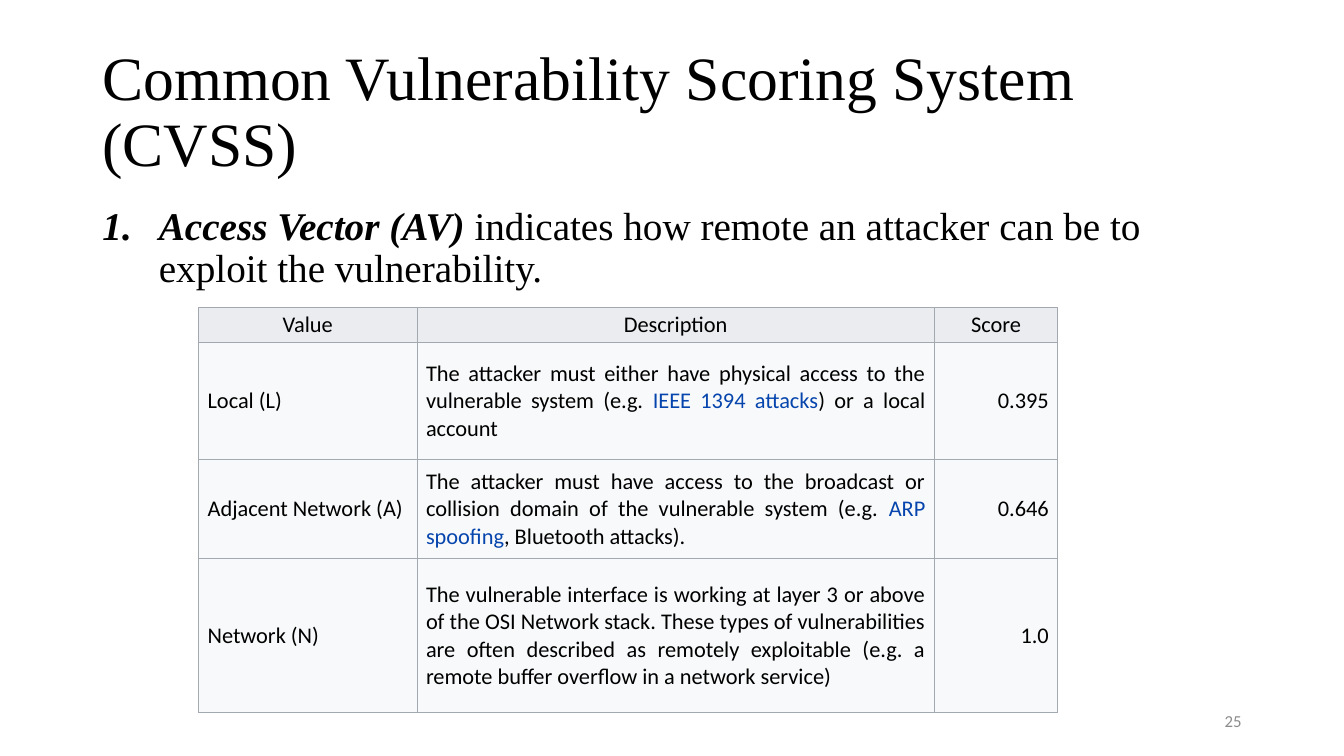
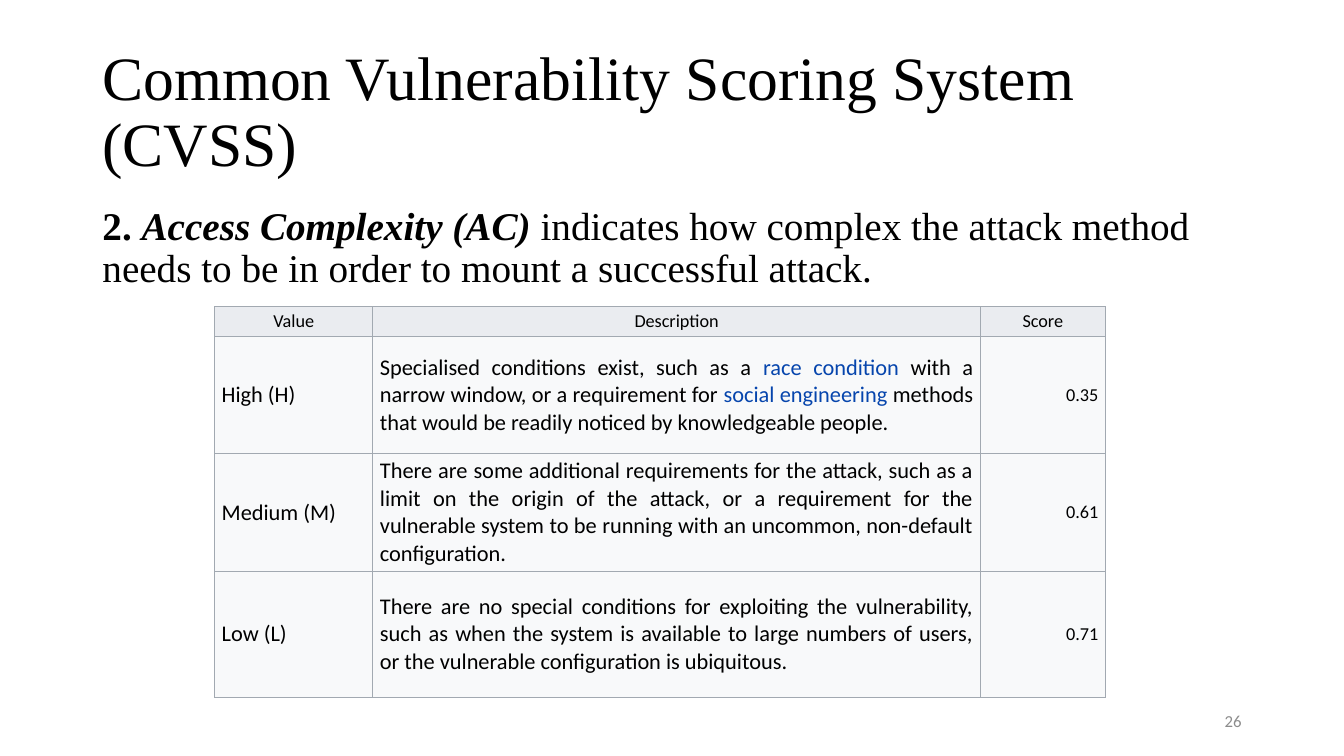
from dataclasses import dataclass

from lxml.etree import SubElement
from pptx import Presentation
from pptx.dml.color import RGBColor
from pptx.enum.text import MSO_ANCHOR as Anchor, MSO_AUTO_SIZE as AutoSize, PP_ALIGN as Align
from pptx.oxml.ns import qn
from pptx.util import Inches, Pt

COLORS = {
    "text": "000000",
    "link": "0645AD",
    "number": "8C8C8C",
    "header": "EAECF0",
    "cell": "F8F9FA",
    "border": "A2A9B1",
}
SERIF, SANS = "Times New Roman", "Calibri"
TITLE = "Common Vulnerability Scoring System (CVSS)"
HEADINGS = ("Value", "Description", "Score")
COLUMN_ALIGNS = (Align.LEFT, Align.JUSTIFY, Align.RIGHT)

# Square grid: 160 columns by 90 rows
GRID_ROWS = 90
SLIDE_WIDTH, SLIDE_HEIGHT = Inches(40 / 3), Inches(7.5)
UNIT = SLIDE_HEIGHT / GRID_ROWS
TITLE_AREA = (11, 4.8, 138, 17.4)
BODY_AREA = (11, 24, 138, 57.1)
NUMBER_AREA = (113, 83.4, 36, 4.8)


@dataclass(frozen=True)
class Span:
    text: str
    color: str = "text"
    bold: bool = False
    italic: bool = False


@dataclass(frozen=True)
class Level:
    value: str
    description: tuple[Span, ...]
    score: str


@dataclass(frozen=True)
class ScoreTable:
    left: float
    top: float
    columns: tuple[float, ...]
    rows: tuple[float, ...]
    side_margin: float
    small_size: int  # headings and scores
    levels: tuple[Level, ...]


@dataclass(frozen=True)
class Metric:
    number: int
    numbered: bool
    definition: tuple[Span, ...]
    scores: ScoreTable


METRICS = (
    Metric(
        25, True,
        (Span("Access Vector (AV) ", bold=True, italic=True),
         Span("indicates how remote an attacker can be to exploit the vulnerability.")),
        ScoreTable(
            23.64, 36.6, (26, 61.6, 14.7), (3.72, 13.92, 11.76, 18.36), 0.09, 16,
            (Level("Local (L)", (
                Span("The attacker must either have physical access to the vulnerable system (e.g. "),
                Span("IEEE 1394 attacks", "link"),
                Span(") or a local account")), "0.395"),
             Level("Adjacent Network (A)", (
                 Span("The attacker must have access to the broadcast or collision domain "
                      "of the vulnerable system (e.g. "),
                 Span("ARP spoofing", "link"),
                 Span(", Bluetooth attacks).")), "0.646"),
             Level("Network (N)", (
                 Span("The vulnerable interface is working at layer 3 or above of the OSI Network "
                      "stack. These types of vulnerabilities are often described as remotely "
                      "exploitable (e.g. a remote buffer overflow in a network service)"),), "1.0")),
        ),
    ),
    Metric(
        26, False,
        (Span("2. ", bold=True),
         Span("Access Complexity (AC) ", bold=True, italic=True),
         Span("indicates how complex the attack method needs to be in order to mount "
              "a successful attack.")),
        ScoreTable(
            25.56, 36.48, (18.84, 72.3, 14.9), (3.6, 13.92, 13.92, 15), 0.07, 13,
            (Level("High (H)", (
                Span("Specialised conditions exist, such as a "),
                Span("race condition ", "link"),
                Span("with a narrow window, or a requirement for "),
                Span("social engineering ", "link"),
                Span("methods that would be readily noticed by knowledgeable people.")), "0.35"),
             Level("Medium (M)", (
                 Span("There are some additional requirements for the attack, such as a limit on "
                      "the origin of the attack, or a requirement for the vulnerable system to be "
                      "running with an uncommon, non-default configuration."),), "0.61"),
             Level("Low (L)", (
                 Span("There are no special conditions for exploiting the vulnerability, such as "
                      "when the system is available to large numbers of users, or the vulnerable "
                      "configuration is ubiquitous."),), "0.71")),
        ),
    ),
)


def grid(*lengths: float) -> list[int]:
    return [round(length * UNIT) for length in lengths]


def write(paragraph, spans: tuple[Span, ...], font: str, size: int, align: Align) -> None:
    paragraph.alignment = align
    for span in spans:
        run = paragraph.add_run()
        run.text = span.text
        run.font.name, run.font.size = font, Pt(size)
        run.font.bold, run.font.italic = span.bold, span.italic
        run.font.color.rgb = RGBColor.from_string(COLORS[span.color])


def fill_placeholder(holder, area: tuple[float, ...], anchor: Anchor):
    holder.left, holder.top, holder.width, holder.height = grid(*area)
    frame = holder.text_frame
    frame.auto_size = AutoSize.NONE
    frame.vertical_anchor = anchor
    paragraph = frame.paragraphs[0]
    paragraph.line_spacing = 0.9
    paragraph.space_before = Pt(0)
    return paragraph


def set_numbering(paragraph, numbered: bool) -> None:
    properties = paragraph._p.get_or_add_pPr()
    indent = Inches(0.56) if numbered else 0
    properties.set("marL", str(indent))
    properties.set("indent", str(-indent))
    if numbered:
        SubElement(properties, qn("a:buFont"), typeface="+mj-lt")
        SubElement(properties, qn("a:buAutoNum"), type="arabicPeriod")
    else:
        SubElement(properties, qn("a:buNone"))


def add_borders(cell) -> None:
    properties = cell._tc.get_or_add_tcPr()
    for side in ("lnL", "lnR", "lnT", "lnB"):
        line = SubElement(properties, qn(f"a:{side}"), w=str(Pt(0.75)))
        SubElement(SubElement(line, qn("a:solidFill")), qn("a:srgbClr"), val=COLORS["border"])


def draw_scores(slide, scores: ScoreTable) -> None:
    area = grid(scores.left, scores.top, sum(scores.columns), sum(scores.rows))
    table = slide.shapes.add_table(len(scores.rows), len(scores.columns), *area).table
    table.first_row = table.horz_banding = False
    for column, width in zip(table.columns, grid(*scores.columns)):
        column.width = width
    for row, height in zip(table.rows, grid(*scores.rows)):
        row.height = height

    contents = [tuple((Span(heading),) for heading in HEADINGS)]
    contents += [((Span(level.value),), level.description, (Span(level.score),))
                 for level in scores.levels]
    for r, row_content in enumerate(contents):
        is_header = r == 0
        for c, spans in enumerate(row_content):
            cell = table.cell(r, c)
            add_borders(cell)
            cell.fill.solid()
            cell.fill.fore_color.rgb = RGBColor.from_string(COLORS["header" if is_header else "cell"])
            cell.vertical_anchor = Anchor.MIDDLE
            cell.margin_left = cell.margin_right = Inches(scores.side_margin)
            cell.margin_top = cell.margin_bottom = Inches(0.04)
            size = scores.small_size if is_header or c == 2 else 16
            align = Align.CENTER if is_header else COLUMN_ALIGNS[c]
            write(cell.text_frame.paragraphs[0], spans, SANS, size, align)


def draw_number(slide, number: int) -> None:
    frame = slide.shapes.add_textbox(*grid(*NUMBER_AREA)).text_frame
    frame.word_wrap = True
    frame.vertical_anchor = Anchor.MIDDLE
    write(frame.paragraphs[0], (Span(str(number), "number"),), SANS, 12, Align.RIGHT)


def draw_metric(deck, metric: Metric) -> None:
    slide = deck.slides.add_slide(deck.slide_layouts[1])
    # Title and definition
    heading = fill_placeholder(slide.shapes.title, TITLE_AREA, Anchor.MIDDLE)
    write(heading, (Span(TITLE),), SERIF, 44, Align.LEFT)
    definition = fill_placeholder(slide.placeholders[1], BODY_AREA, Anchor.TOP)
    set_numbering(definition, metric.numbered)
    write(definition, metric.definition, SERIF, 28, Align.LEFT)
    # Scores and slide number
    draw_scores(slide, metric.scores)
    draw_number(slide, metric.number)


def main() -> None:
    deck = Presentation()
    deck.slide_width, deck.slide_height = SLIDE_WIDTH, SLIDE_HEIGHT
    for metric in METRICS:
        draw_metric(deck, metric)
    deck.save("out.pptx")


if __name__ == "__main__":
    main()
